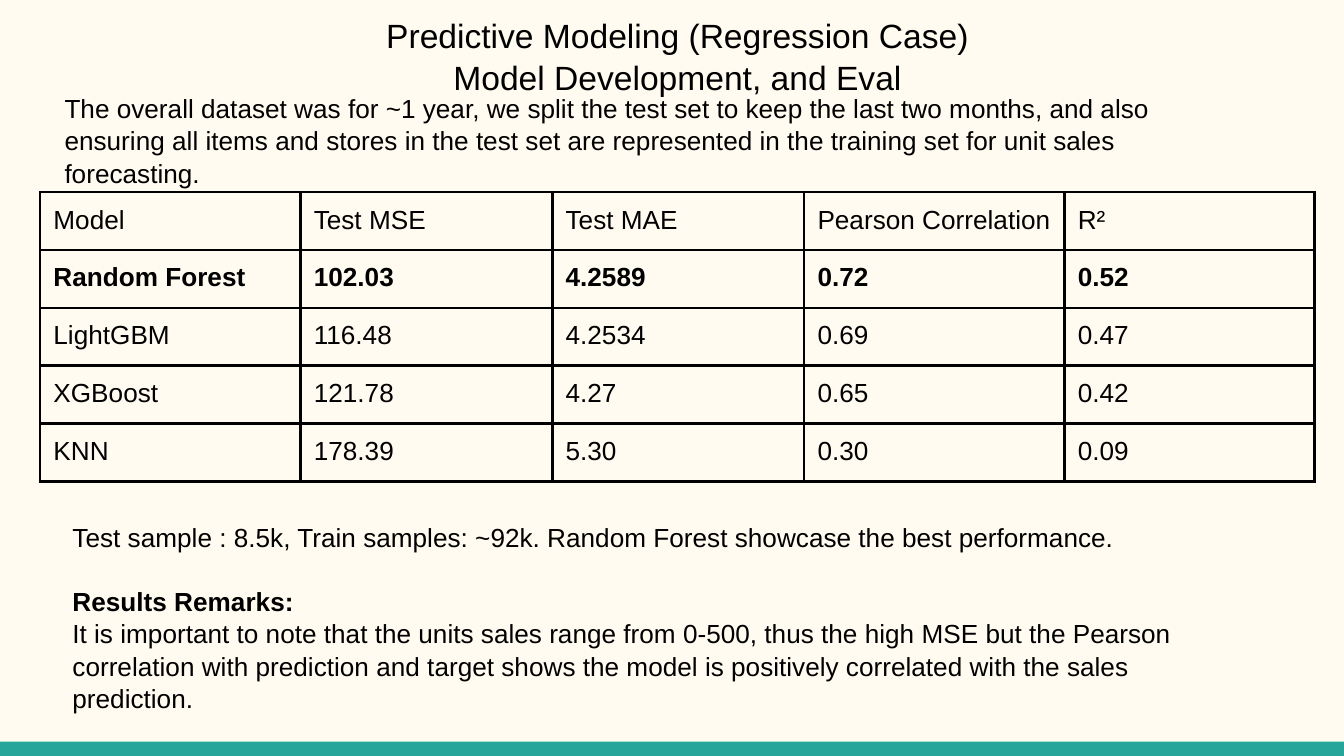
from lxml import etree
from pptx import Presentation
from pptx.dml.color import RGBColor
from pptx.enum.shapes import MSO_SHAPE
from pptx.enum.text import MSO_ANCHOR, PP_ALIGN
from pptx.oxml.ns import qn
from pptx.util import Cm, Pt

RECT = MSO_SHAPE.RECTANGLE
TOP = MSO_ANCHOR.TOP
LEFT, CENTER = PP_ALIGN.LEFT, PP_ALIGN.CENTER

CREAM = RGBColor(0xFF, 0xFB, 0xF0)
TEAL = RGBColor(0x26, 0xA6, 0x9A)
BLACK = RGBColor(0, 0, 0)

FONT = "Arial"
INSET = Cm(0.25)
MARGINS = {f"margin_{side}": INSET for side in ("left", "top", "right", "bottom")}
BORDER = Pt(1.5)
COLUMNS = (4.92, 4.76, 4.76, 4.92, 4.72)
ROW_HEIGHT = 0.99

TITLE = ("Predictive Modeling (Regression Case)", "Model Development, and Eval")
INTRO = (
    "The overall dataset was for ~1 year, we split the test set to keep the last "
    "two months, and also ensuring all items and stores in the test set are "
    "represented in the training set for unit sales forecasting."
)
SAMPLES = (
    "Test sample : 8.5k, Train samples: ~92k. "
    "Random Forest showcase the best performance."
)
REMARKS = (
    "It is important to note that the units sales range from 0-500, thus the high "
    "MSE but the Pearson correlation with prediction and target shows the model is "
    "positively correlated with the sales prediction."
)
RESULTS = (
    ("Model", "Test MSE", "Test MAE", "Pearson Correlation", "R²"),
    ("Random Forest", "102.03", "4.2589", "0.72", "0.52"),
    ("LightGBM", "116.48", "4.2534", "0.69", "0.47"),
    ("XGBoost", "121.78", "4.27", "0.65", "0.42"),
    ("KNN", "178.39", "5.30", "0.30", "0.09"),
)
BEST_ROW = 1


def set_all(obj, values):
    for name, value in values.items():
        setattr(obj, name, value)


def write(p, text, size=14, bold=False, **layout):
    set_all(p, layout)
    r = p.add_run()
    r.text = text
    set_all(r.font, {"name": FONT, "size": Pt(size), "bold": bold})
    r.font.color.rgb = BLACK


def add_text(s, left, top, width, height, paragraphs):
    sp = s.shapes.add_textbox(Cm(left), Cm(top), Cm(width), Cm(height))
    tf = sp.text_frame
    set_all(tf, {"word_wrap": True, "vertical_anchor": TOP, **MARGINS})
    for i, values in enumerate(paragraphs):
        p = tf.add_paragraph() if i else tf.paragraphs[0]
        write(p, line_spacing=1.04, **values)


def add_bar(s, left, top, width, height):
    sp = s.shapes.add_shape(RECT, Cm(left), Cm(top), Cm(width), Cm(height))
    sp.shadow.inherit = False
    sp.fill.solid()
    sp.fill.fore_color.rgb = TEAL
    sp.line.fill.background()


def add_borders(cell):
    props = cell._tc.get_or_add_tcPr()
    for i, side in enumerate(("lnL", "lnR", "lnT", "lnB")):
        line = etree.Element(qn(f"a:{side}"), w=str(BORDER))
        fill = etree.SubElement(line, qn("a:solidFill"))
        etree.SubElement(fill, qn("a:srgbClr"), val=str(BLACK))
        props.insert(i, line)


def add_results(s, left, top):
    frame = s.shapes.add_table(
        len(RESULTS), len(COLUMNS), Cm(left), Cm(top),
        Cm(sum(COLUMNS)), Cm(ROW_HEIGHT * len(RESULTS)),
    )
    table = frame.table
    set_all(table, {"first_row": False, "horz_banding": False})
    for column, width in zip(table.columns, COLUMNS):
        column.width = Cm(width)
    for i, row in enumerate(RESULTS):
        table.rows[i].height = Cm(ROW_HEIGHT)
        for j, text in enumerate(row):
            cell = table.cell(i, j)
            set_all(cell, {"vertical_anchor": TOP, **MARGINS})
            cell.fill.background()
            write(cell.text_frame.paragraphs[0], text, bold=i == BEST_ROW)
            add_borders(cell)


def main():
    prs = Presentation()
    set_all(prs, {"slide_width": Cm(25.4), "slide_height": Cm(14.29)})
    s = prs.slides.add_slide(prs.slide_layouts[6])
    s.background.fill.solid()
    s.background.fill.fore_color.rgb = CREAM

    add_bar(s, 0, 14.02, 25.4, 0.27)
    add_text(s, 0.97, 0, 23.67, 1.47, [
        {"text": line, "size": 18, "alignment": CENTER} for line in TITLE
    ])
    add_text(s, 0.97, 1.47, 22.86, 3.02, [{"text": INTRO, "alignment": LEFT}])
    add_results(s, 0.76, 3.63)
    add_text(s, 1.12, 9.58, 22.86, 3.02, [
        {"text": SAMPLES},
        {"text": "Results Remarks:", "bold": True, "space_before": Pt(16.7)},
        {"text": REMARKS},
    ])
    prs.save("out.pptx")


if __name__ == "__main__":
    main()
